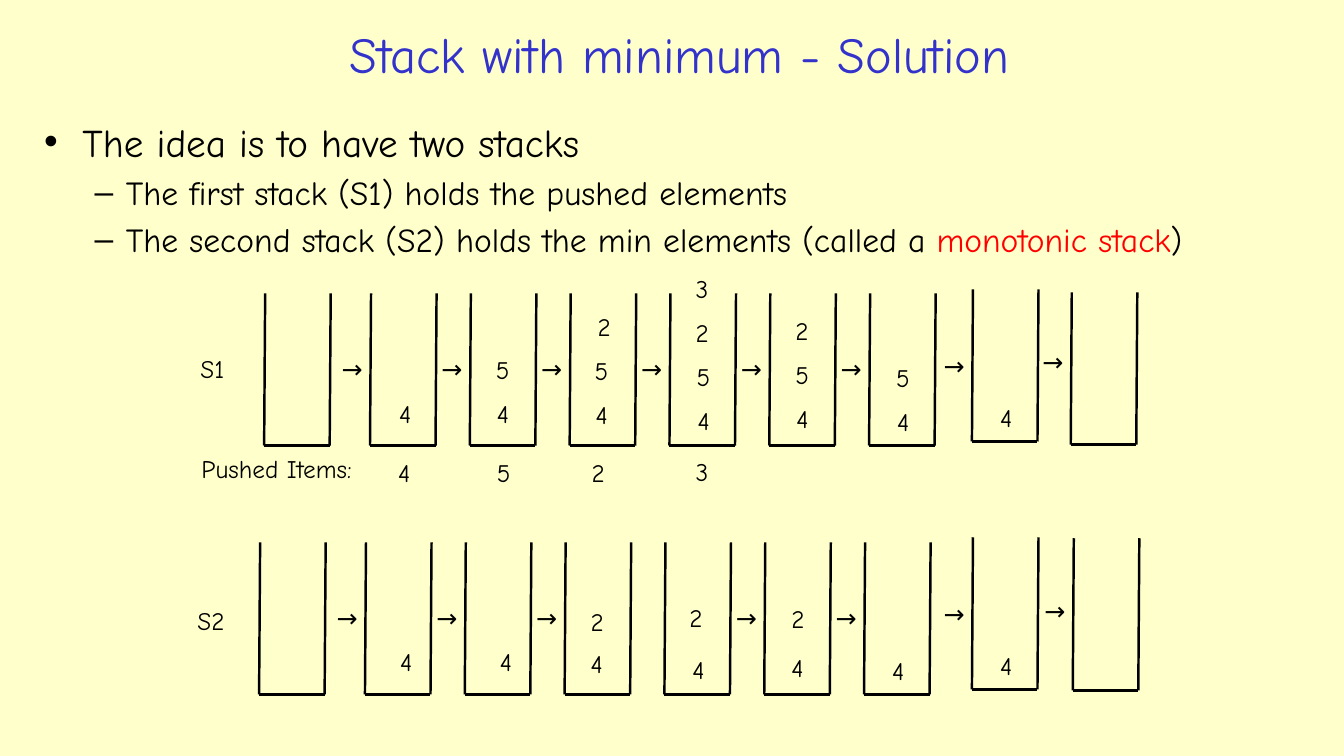
from lxml.etree import SubElement
from pptx import Presentation
from pptx.dml.color import RGBColor
from pptx.enum.shapes import MSO_CONNECTOR
from pptx.enum.text import MSO_ANCHOR, PP_ALIGN
from pptx.oxml.ns import qn
from pptx.util import Inches, Pt

BLACK, BLUE, RED, CREAM = "000000", "3333CC", "FF0000", "FFFFCC"
STACK_WIDTH, STACK_HEIGHT, SLANT = 0.65, 1.51, 0.01
DIGIT_WIDTH, ARROW_WIDTH, ARROW_OFFSET = 0.42, 0.51, 0.44

BULLETS = [
    (0, "•", 28, [("The idea is to have two stacks", BLACK)]),
    (1, "–", 24, [("The first stack (S1) holds the pushed elements", BLACK)]),
    (1, "–", 24, [("The second stack (S2) holds the min elements (called a ", BLACK),
                  ("monotonic stack", RED), (")", BLACK)]),
]

S1_LEFTS = [2.62] + [3.67 + 0.99 * step for step in range(6)] + [9.64, 10.62]
S2_LEFTS = [left - 0.05 for left in S1_LEFTS[:7]] + [9.64, 10.64]
S1_TOPS = [2.91] * 7 + [2.87, 2.9]
S2_TOPS = [5.38] * 7 + [5.33, 5.34]
S1_ARROWS = [None] + [3.46] * 6 + [3.43, 3.39]
S2_ARROWS = [None] + [5.93] * 3 + [None] + [5.93] * 2 + [5.89, 5.86]

S1_DIGITS = [
    [],
    [("4", 3.8, 3.9)],
    [("4", 4.77, 3.9), ("5", 4.76, 3.47)],
    [("4", 5.75, 3.91), ("5", 5.74, 3.48), ("2", 5.77, 3.04)],
    [("4", 6.76, 3.97), ("5", 6.75, 3.54), ("2", 6.74, 3.1), ("3", 6.74, 2.66)],
    [("4", 7.74, 3.95), ("5", 7.73, 3.52), ("2", 7.73, 3.08)],
    [("4", 8.74, 3.98), ("5", 8.73, 3.55)],
    [("4", 9.76, 3.94)],
    [],
]
S2_DIGITS = [
    [],
    [("4", 3.81, 6.36)],
    [("4", 4.8, 6.36)],
    [("4", 5.7, 6.38), ("2", 5.7, 5.97)],
    [("4", 6.71, 6.44), ("2", 6.68, 5.93)],
    [("4", 7.69, 6.42), ("2", 7.69, 5.94)],
    [("4", 8.69, 6.45)],
    [("4", 9.76, 6.4)],
    [],
]
PUSHED_DIGITS = [("4", 3.79, 4.49), ("5", 4.77, 4.49), ("2", 5.71, 4.49), ("3", 6.74, 4.48)]
LABELS = [("S1", 1.83, 3.46, 0.55), ("S2", 1.8, 5.96, 0.59), ("Pushed Items:", 1.84, 4.45, 1.95)]


def color(value):
    return RGBColor.from_string(value)


class StackSlide:
    font_name = "Comic Neue"
    label_size = 18
    line_width = 1.75

    def __init__(self, presentation):
        self.slide = presentation.slides.add_slide(presentation.slide_layouts[5])
        fill = self.slide.background.fill
        fill.solid()
        fill.fore_color.rgb = color(CREAM)

    def style(self, font, size, font_color=BLACK):
        font.name = self.font_name
        font.size = Pt(size)
        font.color.rgb = color(font_color)

    def title(self, text):
        shape = self.slide.shapes.title
        shape.left, shape.top = Inches(1.97), Inches(0.15)
        shape.width, shape.height = Inches(9.54), Inches(0.76)
        shape.text_frame.text = text
        shape.text_frame.vertical_anchor = MSO_ANCHOR.MIDDLE
        paragraph = shape.text_frame.paragraphs[0]
        paragraph.alignment = PP_ALIGN.CENTER
        self.style(paragraph.font, 36, BLUE)

    def bullets(self, items):
        box = self.slide.shapes.add_textbox(Inches(0.34), Inches(1.12), Inches(12.84), Inches(1.7))
        frame = box.text_frame
        frame.word_wrap = True
        for index, (level, mark, size, runs) in enumerate(items):
            paragraph = frame.add_paragraph() if index else frame.paragraphs[0]
            paragraph.level = level
            if index:
                paragraph.space_before = Pt(size * 0.2)
            margin, indent = ((0.38, -0.38), (0.81, -0.31))[level]
            properties = paragraph._p.get_or_add_pPr()
            properties.set("marL", str(Inches(margin)))
            properties.set("indent", str(Inches(indent)))
            SubElement(properties, qn("a:buFont"), typeface="Arial")
            SubElement(properties, qn("a:buChar"), char=mark)
            for text, run_color in runs:
                run = paragraph.add_run()
                run.text = text
                self.style(run.font, size, run_color)

    def label(self, text, left, top, width=DIGIT_WIDTH):
        box = self.slide.shapes.add_textbox(Inches(left), Inches(top), Inches(width), Inches(0.4))
        box.text_frame.word_wrap = False
        paragraph = box.text_frame.paragraphs[0]
        paragraph.text = text
        paragraph._p.get_or_add_pPr().set("marL", str(Inches(0.06)))
        self.style(paragraph.font, self.label_size)

    def line(self, shapes, start, end):
        connector = shapes.add_connector(
            MSO_CONNECTOR.STRAIGHT, *(Inches(value) for value in start + end))
        connector.line.color.rgb = color(BLACK)
        connector.line.width = Pt(self.line_width)
        SubElement(connector._element.spPr, qn("a:effectLst"))

    def stack(self, left, top):
        shapes = self.slide.shapes.add_group_shape().shapes
        right, bottom = left + STACK_WIDTH, top + STACK_HEIGHT
        for side in (left, right):
            self.line(shapes, (side + SLANT, top), (side, bottom))
        self.line(shapes, (left, bottom), (right, bottom))

    def stack_row(self, lefts, tops, arrows, digits):
        for left, top, arrow_top, stack_digits in zip(lefts, tops, arrows, digits):
            self.stack(left, top)
            if arrow_top is not None:
                self.label("→", left - ARROW_OFFSET, arrow_top, ARROW_WIDTH)
            for digit in stack_digits:
                self.label(*digit)


def main():
    presentation = Presentation()
    presentation.slide_width = Inches(13.33)
    presentation.slide_height = Inches(7.5)
    page = StackSlide(presentation)
    page.title("Stack with minimum - Solution")
    page.bullets(BULLETS)
    page.stack_row(S1_LEFTS, S1_TOPS, S1_ARROWS, S1_DIGITS)
    page.stack_row(S2_LEFTS, S2_TOPS, S2_ARROWS, S2_DIGITS)
    for label in PUSHED_DIGITS + LABELS:
        page.label(*label)
    presentation.save("out.pptx")


if __name__ == "__main__":
    main()
